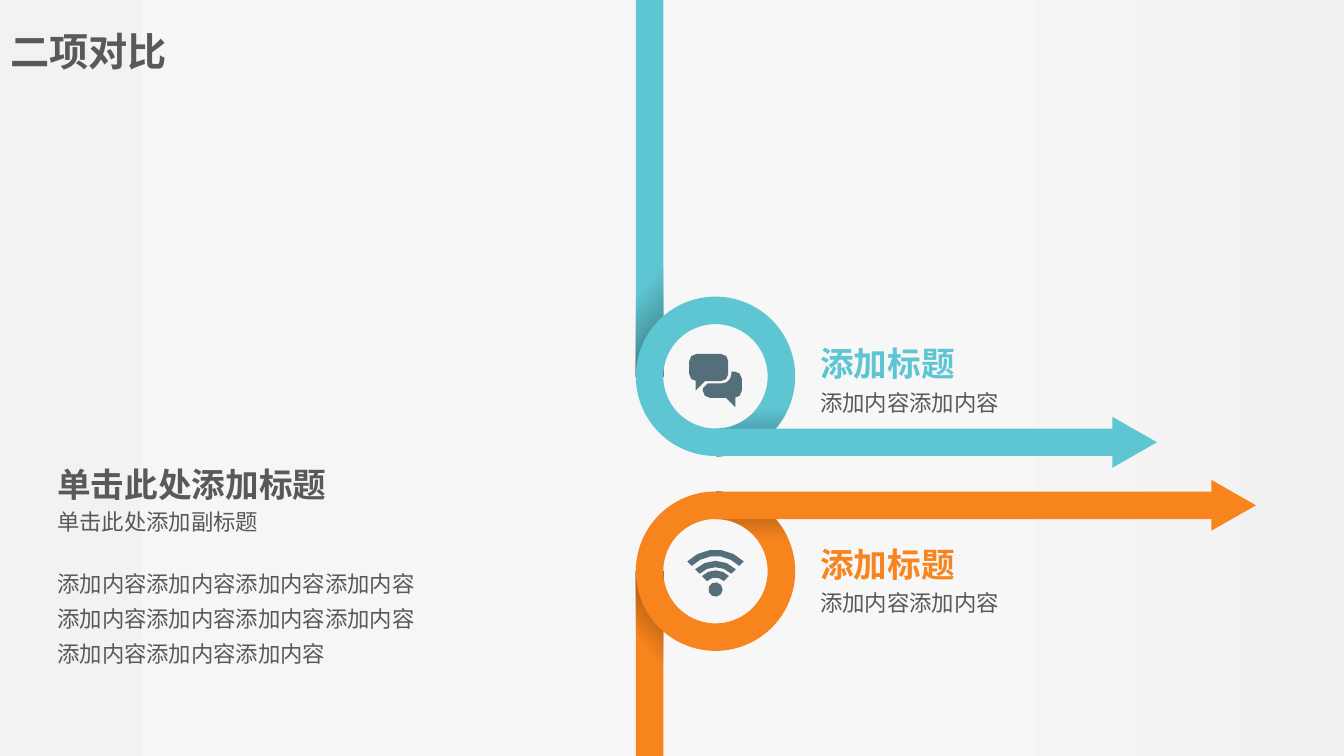
import math

import lxml.etree
import pptx
import pptx.dml.color
import pptx.enum.shapes
import pptx.enum.text
import pptx.oxml.ns
import pptx.util

COLORS = {"teal": "5EC6D3", "orange": "F8841D", "slate": "546E7A", "ink": "595959", "shadow": "000000"}
BACKDROP = [(0, "F2F2F2", 100), (21, "F6F6F6", 100), (48, "F7F7F7", 100),
            (77, "F5F5F5", 100), (100, "F0F0F0", 100)]
STEM_SHADE = [(33, COLORS["shadow"], 0), (62, COLORS["shadow"], 20), (95, COLORS["shadow"], 54)]
RING_SHADE = [(58, COLORS["shadow"], 0), (80, COLORS["shadow"], 20), (95, COLORS["shadow"], 54)]
LATIN, EAST_ASIAN = "Calibri", "Noto Sans CJK SC"
WIDTH, HEIGHT = pptx.util.Inches(13.33), pptx.util.Inches(7.5)
RADIUS = WIDTH * 0.0593
BAND = 0.345  # ribbon width, as a share of the ring radius
SHAPES = pptx.enum.shapes.MSO_SHAPE
qn = pptx.oxml.ns.qn


def percent_box(left, top, width, height):
    """Turn percentages of the slide into lengths."""
    return [round(share * side / 100) for share, side in
            zip((left, top, width, height), (WIDTH, HEIGHT, WIDTH, HEIGHT))]


def set_gradient(properties, stops, angle):
    """Replace the solid fill in a property element by a linear gradient."""
    gradient = lxml.etree.Element(qn("a:gradFill"), rotWithShape="1")
    stop_list = lxml.etree.SubElement(gradient, qn("a:gsLst"))
    for position, color, opacity in stops:
        stop = lxml.etree.SubElement(stop_list, qn("a:gs"), pos=str(position * 1000))
        tint = lxml.etree.SubElement(stop, qn("a:srgbClr"), val=color)
        lxml.etree.SubElement(tint, qn("a:alpha"), val=str(opacity * 1000))
    lxml.etree.SubElement(gradient, qn("a:lin"), ang=str(angle * 60000), scaled="0")
    solid = properties.find(qn("a:solidFill"))
    properties.replace(solid, gradient)


def paint(shape, color):
    shape.shadow.inherit = False
    shape.line.fill.background()
    shape.fill.solid()
    shape.fill.fore_color.rgb = pptx.dml.color.RGBColor.from_string(color)
    return shape


def add_preset(slide, kind, left, top, width, height, color):
    lengths = [round(length) for length in (left, top, width, height)]
    return paint(slide.shapes.add_shape(kind, *lengths), color)


def add_outline(slide, cx, cy, contours, color):
    """Draw contours given in ring radii around a ring centre."""
    placed = [[(round(cx + x * RADIUS), round(cy + y * RADIUS)) for x, y in contour]
              for contour in contours]
    builder = slide.shapes.build_freeform(*placed[0][0])
    for number, points in enumerate(placed):
        if number:
            builder.move_to(*points[0])
        builder.add_line_segments(points[1:], close=True)
    return paint(builder.convert_to_shape(), color)


def arc(x, y, radius, start, end):
    """List points along an arc, fewer where it is small."""
    steps = max(2, round(abs(end - start) * math.sqrt(radius) / 12))
    angles = [math.radians(start + (end - start) * step / steps) for step in range(steps + 1)]
    return [(x + radius * math.cos(a), y + radius * math.sin(a)) for a in angles]


def draw_chat(slide, cx, cy):
    back = ([(0.2, -0.06)] + arc(0.08, -0.03, 0.12, 0, 90)
            + [(-0.1, 0.09), (-0.16, 0.15)] + arc(-0.07, 0.18, 0.09, 180, 90)
            + [(0.13, 0.27), (0.25, 0.39), (0.25, 0.27)]
            + arc(0.24, 0.18, 0.09, 90, 0) + arc(0.24, 0.03, 0.09, 0, -90))
    front = (arc(-0.24, -0.19, 0.09, 180, 270) + arc(0.07, -0.19, 0.09, 270, 360)
             + arc(0.07, -0.03, 0.09, 0, 90) + [(-0.13, 0.06), (-0.25, 0.18), (-0.25, 0.06)]
             + arc(-0.24, -0.03, 0.09, 90, 180))
    for bubble in (back, front):
        add_outline(slide, cx, cy, [bubble], COLORS["slate"])


def draw_wifi(slide, cx, cy):
    waves = [arc(0, 0.23, outer, -135, -45) + arc(0, 0.23, inner, -45, -135)
             for outer, inner in ((0.5, 0.42), (0.36, 0.28), (0.24, 0.15))]
    add_outline(slide, cx, cy, waves + [arc(0, 0.23, 0.09, 0, 360)], COLORS["slate"])


def add_text(frame, lines, spacing, wrap=True, font=LATIN):
    """Fill a frame with lines of (text, size, color, bold)."""
    frame.text = "\n".join(line[0] for line in lines)
    frame.word_wrap = wrap
    frame.vertical_anchor = pptx.enum.text.MSO_ANCHOR.TOP
    frame.auto_size = pptx.enum.text.MSO_AUTO_SIZE.SHAPE_TO_FIT_TEXT
    for paragraph, (_, size, color, bold) in zip(frame.paragraphs, lines):
        paragraph.alignment = pptx.enum.text.PP_ALIGN.LEFT
        paragraph.line_spacing = spacing
        for run in paragraph.runs:
            run.font.name = font
            run.font.size = pptx.util.Pt(size)
            run.font.bold = bold
            run.font.color.rgb = pptx.dml.color.RGBColor.from_string(color)
            latin = run.font._element.find(qn("a:latin"))
            latin.addnext(lxml.etree.Element(qn("a:ea"), typeface=EAST_ASIAN))


def draw_branch(slide, box, side, color, shade_length, caption_rise, draw_icon):
    """Ribbon from a slide edge, round a ring and out to an arrow; side 1 comes from above."""
    left, top, width, height = box
    right, bottom = left + width, top + height
    band = BAND * RADIUS
    cx = left + RADIUS
    cy = bottom - RADIUS if side == 1 else top + RADIUS

    stem_top, stem_end = (top, cy) if side == 1 else (cy, bottom)
    add_preset(slide, SHAPES.RECTANGLE, left, stem_top, band, stem_end - stem_top, color)
    shade_size = shade_length * RADIUS
    shade_top = cy - shade_size if side == 1 else cy
    stem_shade = add_preset(slide, SHAPES.RECTANGLE, left, shade_top, band, shade_size, color)
    set_gradient(stem_shade._element.spPr, STEM_SHADE, 40 if side == 1 else 320)

    ring = add_preset(slide, SHAPES.DONUT, left, cy - RADIUS, 2 * RADIUS, 2 * RADIUS, color)
    ring.adjustments[0] = BAND / 2
    crescent = arc(0, 0, 1, -26 * side, 89 * side) + arc(0, 0, 1 - BAND, 89 * side, -42 * side)
    ring_shade = add_outline(slide, cx, cy, [crescent], color)
    set_gradient(ring_shade._element.spPr, RING_SHADE, 90 if side == 1 else 270)

    shaft_y = side * (1 - BAND / 2)
    tip = (right - cx) / RADIUS
    add_preset(slide, SHAPES.RECTANGLE, cx, cy + shaft_y * RADIUS - band / 2,
               (tip - 0.41) * RADIUS, band, color)
    add_outline(slide, cx, cy, [[(tip - 0.56, shaft_y - 0.32), (tip, shaft_y),
                                 (tip - 0.56, shaft_y + 0.32)]], color)
    draw_icon(slide, cx, cy)

    caption = slide.shapes.add_textbox(round(cx + 1.19 * RADIUS), round(cy - caption_rise * RADIUS),
                                       round(3.95 * RADIUS), round(1.15 * RADIUS))
    add_text(caption.text_frame, [("添加标题", 24, color, True),
                                  ("添加内容添加内容", 16, COLORS["ink"], False)], 1.2)


def write_title(slide, box):
    title = slide.shapes.title
    title.left, title.top, title.width, title.height = box
    add_text(title.text_frame, [("二项对比", 28, COLORS["ink"], True)], 1.0, wrap=False)


def write_intro(slide, box):
    left, top, width, height = box
    parts = [("添加内容" * 11, 16, False, 1.3, 0.48, 0.52, 0.73, LATIN),
             ("单击此处添加标题", 24, True, 1.2, 0, 0.27, 0.79, LATIN),
             ("单击此处添加副标题", 16, False, 1.23, 0.21, 0.18, 1, EAST_ASIAN)]
    for text, size, bold, spacing, offset, rows, columns, font in parts:
        part = slide.shapes.add_textbox(left, round(top + offset * height),
                                        round(columns * width), round(rows * height))
        add_text(part.text_frame, [(text, size, COLORS["ink"], bold)], spacing, font=font)


def main():
    deck = pptx.Presentation()
    deck.slide_width, deck.slide_height = WIDTH, HEIGHT
    slide = deck.slides.add_slide(deck.slide_layouts[5])
    slide.background.fill.solid()
    set_gradient(slide._element.find(".//" + qn("p:bgPr")), BACKDROP, 0)

    draw_branch(slide, percent_box(47.31, 0, 38.78, 60.32), 1, COLORS["teal"], 1.66, 0.58, draw_chat)
    draw_branch(slide, percent_box(47.31, 65.02, 46.14, 34.98), -1, COLORS["orange"], 1.39, 0.51, draw_wifi)
    write_title(slide, percent_box(0, 2.93, 13.2, 7.6))
    write_intro(slide, percent_box(3.53, 59.6, 40.74, 29.33))
    deck.save("out.pptx")


if __name__ == "__main__":
    main()
